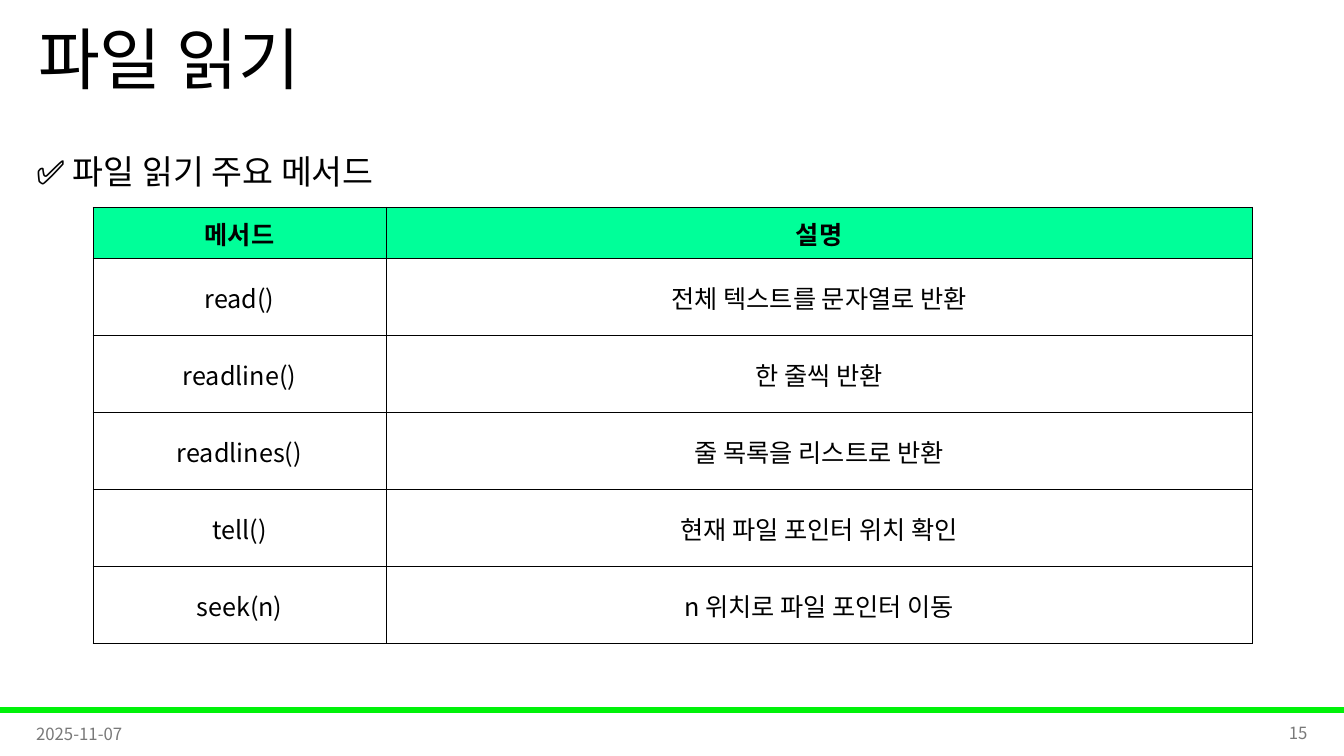
import pptx
import pptx.util
import pptx.dml.color
import pptx.enum.shapes
import pptx.enum.text
import pptx.oxml
import pptx.oxml.ns

Cm = pptx.util.Cm
Pt = pptx.util.Pt
ALIGN = pptx.enum.text.PP_ALIGN
MID = pptx.enum.text.MSO_ANCHOR.MIDDLE
TOP = pptx.enum.text.MSO_ANCHOR.TOP

# Content
FONT = "Noto Sans CJK KR"
COLORS = {"ink": "000000", "gray": "797979", "bar": "00F209", "head": "00FF99"}
# text, (left, top, width, height) in cm, size, color, align, anchor, line spacing
TEXTS = [
    ("파일 읽기", (0.71, 0, 29.21, 3.18), 48, "ink", ALIGN.LEFT, MID, 0.9),
    ("2025-11-07", (0.66, 17.98, 7.62, 1.02), 12, "gray", ALIGN.LEFT, MID, 1),
    ("15", (25.58, 17.96, 7.62, 1.02), 12, "gray", ALIGN.RIGHT, MID, 1),
    ("✅ 파일 읽기 주요 메서드", (0.66, 3.18, 16.99, 1.63), 24, "ink", ALIGN.LEFT, TOP, 1.5),
]
ROWS = [
    ("메서드", "설명"),
    ("read()", "전체 텍스트를 문자열로 반환"),
    ("readline()", "한 줄씩 반환"),
    ("readlines()", "줄 목록을 리스트로 반환"),
    ("tell()", "현재 파일 포인터 위치 확인"),
    ("seek(n)", "n 위치로 파일 포인터 이동"),
]
WIDTHS = (7.39, 21.82)
HEAD_H, ROW_H = 1.3, 1.94


def color(name):
    return pptx.dml.color.RGBColor.from_string(COLORS[name])


def style(frame, size, tint, align, bold=False):
    para = frame.paragraphs[0]
    para.alignment = align
    for run in para.runs:
        font = run.font
        font.name, font.size, font.bold = FONT, Pt(size), bold
        font.color.rgb = color(tint)
        east = pptx.oxml.parse_xml(
            f'<a:ea {pptx.oxml.ns.nsdecls("a")} typeface="{FONT}"/>')
        font._element.find(pptx.oxml.ns.qn("a:latin")).addnext(east)


def border(cell):
    props = cell._tc.get_or_add_tcPr()
    for i, side in enumerate("LRTB"):
        props.insert(i, pptx.oxml.parse_xml(
            f'<a:ln{side} {pptx.oxml.ns.nsdecls("a")} w="{Pt(0.5)}"><a:solidFill>'
            f'<a:srgbClr val="{COLORS["ink"]}"/></a:solidFill></a:ln{side}>'))


deck = pptx.Presentation()
deck.slide_width, deck.slide_height = Cm(33.87), Cm(19.05)
slide = deck.slides.add_slide(deck.slide_layouts[6])

# Footer bar
bar = slide.shapes.add_shape(
    pptx.enum.shapes.MSO_SHAPE.RECTANGLE, 0, Cm(17.83), deck.slide_width, Cm(0.13))
bar.shadow.inherit = False
bar.fill.solid()
bar.fill.fore_color.rgb = bar.line.color.rgb = color("bar")
bar.line.width = Pt(1)

# Title, footer and heading
for text, place, size, tint, align, anchor, space in TEXTS:
    frame = slide.shapes.add_textbox(*map(Cm, place)).text_frame
    frame.text = text
    frame.word_wrap = True
    frame.vertical_anchor = anchor
    frame.paragraphs[0].line_spacing = space
    style(frame, size, tint, align)

# Method table
high = HEAD_H + ROW_H * (len(ROWS) - 1)
table = slide.shapes.add_table(
    len(ROWS), len(WIDTHS), Cm(2.34), Cm(5.22), Cm(sum(WIDTHS)), Cm(high)).table
table.first_row = table.horz_banding = False
for col, width in zip(table.columns, WIDTHS):
    col.width = Cm(width)
for r, row in enumerate(ROWS):
    head = r == 0
    table.rows[r].height = Cm(HEAD_H if head else ROW_H)
    for c, text in enumerate(row):
        cell = table.cell(r, c)
        cell.text_frame.text = text
        cell.vertical_anchor = MID
        cell.margin_left = cell.margin_right = cell.margin_top = Cm(0.03)
        cell.margin_bottom = 0
        if head:
            cell.fill.solid()
            cell.fill.fore_color.rgb = color("head")
        else:
            cell.fill.background()
        border(cell)
        style(cell.text_frame, 18, "ink", ALIGN.CENTER, head)

deck.save("out.pptx")
